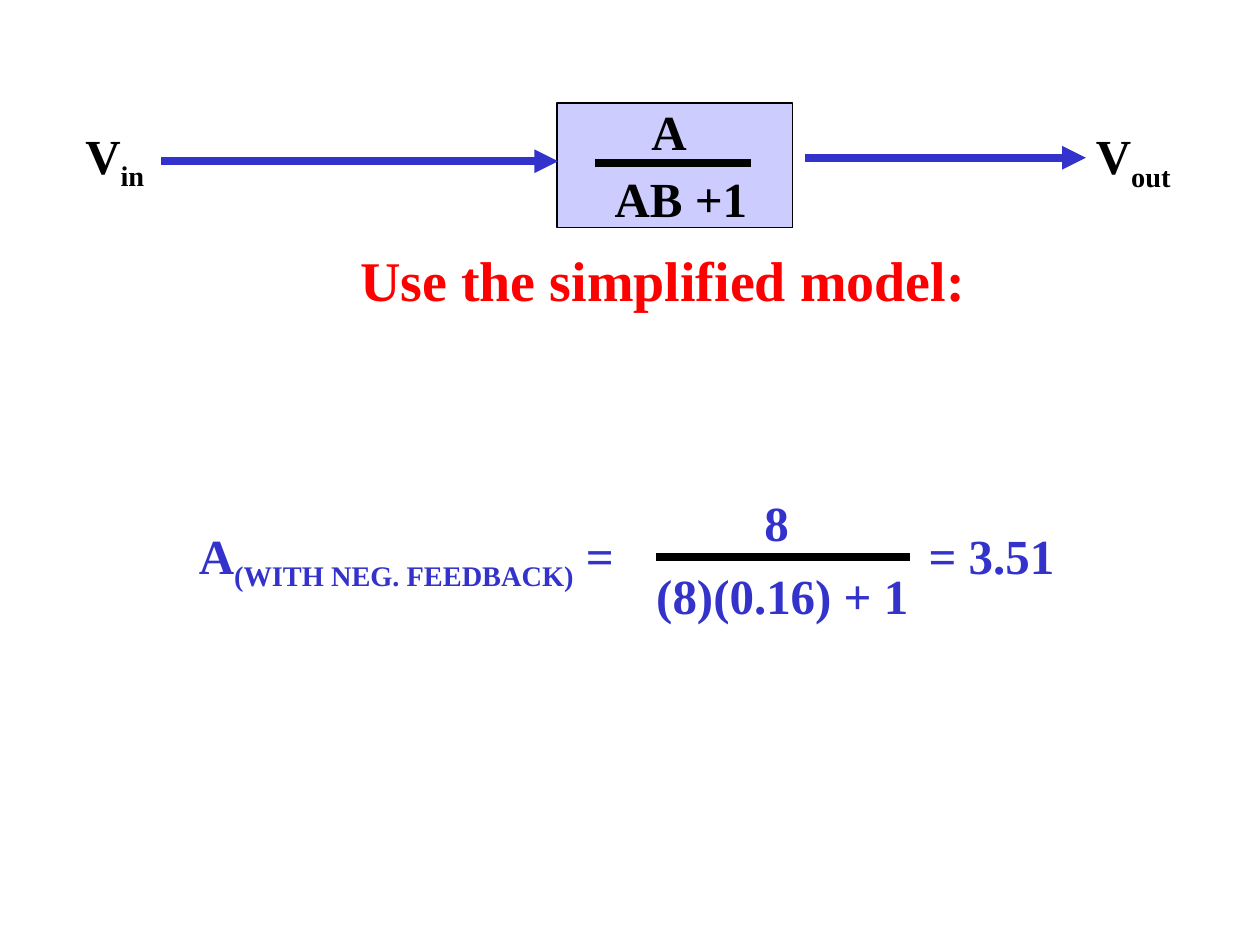
from pptx import Presentation
from pptx.dml.color import RGBColor
from pptx.enum.shapes import MSO_CONNECTOR, MSO_SHAPE
from pptx.enum.text import MSO_AUTO_SIZE
from pptx.oxml.ns import qn
from pptx.util import Cm, Pt
from lxml.etree import SubElement

BLACK = RGBColor(0x00, 0x00, 0x00)
BLUE = RGBColor(0x33, 0x33, 0xCC)
RED = RGBColor(0xFF, 0x00, 0x00)
LILAC = RGBColor(0xCC, 0xCC, 0xFF)
FONT = "Times New Roman"

# Lengths in cm
BLOCK = (11.23, 2.08, 4.75, 2.51)

# Level lines: left, right, height, colour, arrowhead
LINES = [
    (11.99, 15.14, 3.28, BLACK, False),
    (3.25, 11.25, 3.25, BLUE, True),
    (16.23, 21.89, 3.18, BLUE, True),
    (13.23, 18.34, 11.23, BLACK, False),
]

# Labels: left, top, width, height, size, colour, runs (every second run is a subscript)
LABELS = [
    (12.14, 3.28, 3.18, 1.45, 28, BLACK, ["AB +1"]),
    (12.88, 1.93, 1.22, 1.45, 28, BLACK, ["A"]),
    (1.47, 2.41, 1.7, 1.6, 28, BLACK, ["V", "in"]),
    (21.84, 2.41, 2.01, 1.6, 28, BLACK, ["V", "out"]),
    (7.01, 4.83, 12.73, 1.63, 32, RED, ["Use the simplified model:"]),
    (3.76, 10.46, 8.9, 1.6, 28, BLUE, ["A", "(WITH NEG. FEEDBACK)", " ="]),
    (15.16, 9.8, 0.99, 1.45, 28, BLUE, ["8"]),
    (12.98, 11.28, 5.59, 1.45, 28, BLUE, ["(8)(0.16) + 1"]),
    (18.47, 10.46, 3.05, 1.45, 28, BLUE, ["= 3.51"]),
]


def add_line(slide, left, right, y, color, arrow):
    line = slide.shapes.add_connector(
        MSO_CONNECTOR.STRAIGHT, Cm(left), Cm(y), Cm(right), Cm(y))
    line.line.color.rgb = color
    line.line.width = Pt(4.5)
    if arrow:
        SubElement(line.line._get_or_add_ln(), qn("a:tailEnd"), type="triangle")
    SubElement(line._element.spPr, qn("a:effectLst"))


def add_label(slide, left, top, width, height, size, color, runs):
    box = slide.shapes.add_textbox(Cm(left), Cm(top), Cm(width), Cm(height))
    frame = box.text_frame
    frame.word_wrap = False
    frame.auto_size = MSO_AUTO_SIZE.SHAPE_TO_FIT_TEXT
    para = frame.paragraphs[0]
    font = para.font
    font.name, font.size, font.bold = FONT, Pt(size), True
    font.color.rgb = color
    for i, text in enumerate(runs):
        run = para.add_run()
        run.text = text
        if i % 2:
            run._r.get_or_add_rPr().set("baseline", "-25000")


def main():
    deck = Presentation()
    deck.slide_width, deck.slide_height = Cm(25.4), Cm(19.05)
    slide = deck.slides.add_slide(deck.slide_layouts[6])

    # Amplifier block
    block = slide.shapes.add_shape(MSO_SHAPE.RECTANGLE, *map(Cm, BLOCK))
    block.shadow.inherit = False
    block.fill.solid()
    block.fill.fore_color.rgb = LILAC
    block.line.color.rgb = BLACK
    block.line.width = Pt(0.75)

    # Signal arrows and fraction bars
    for line in LINES:
        add_line(slide, *line)

    # Labels and formula
    for label in LABELS:
        add_label(slide, *label)

    deck.save("out.pptx")


if __name__ == "__main__":
    main()
